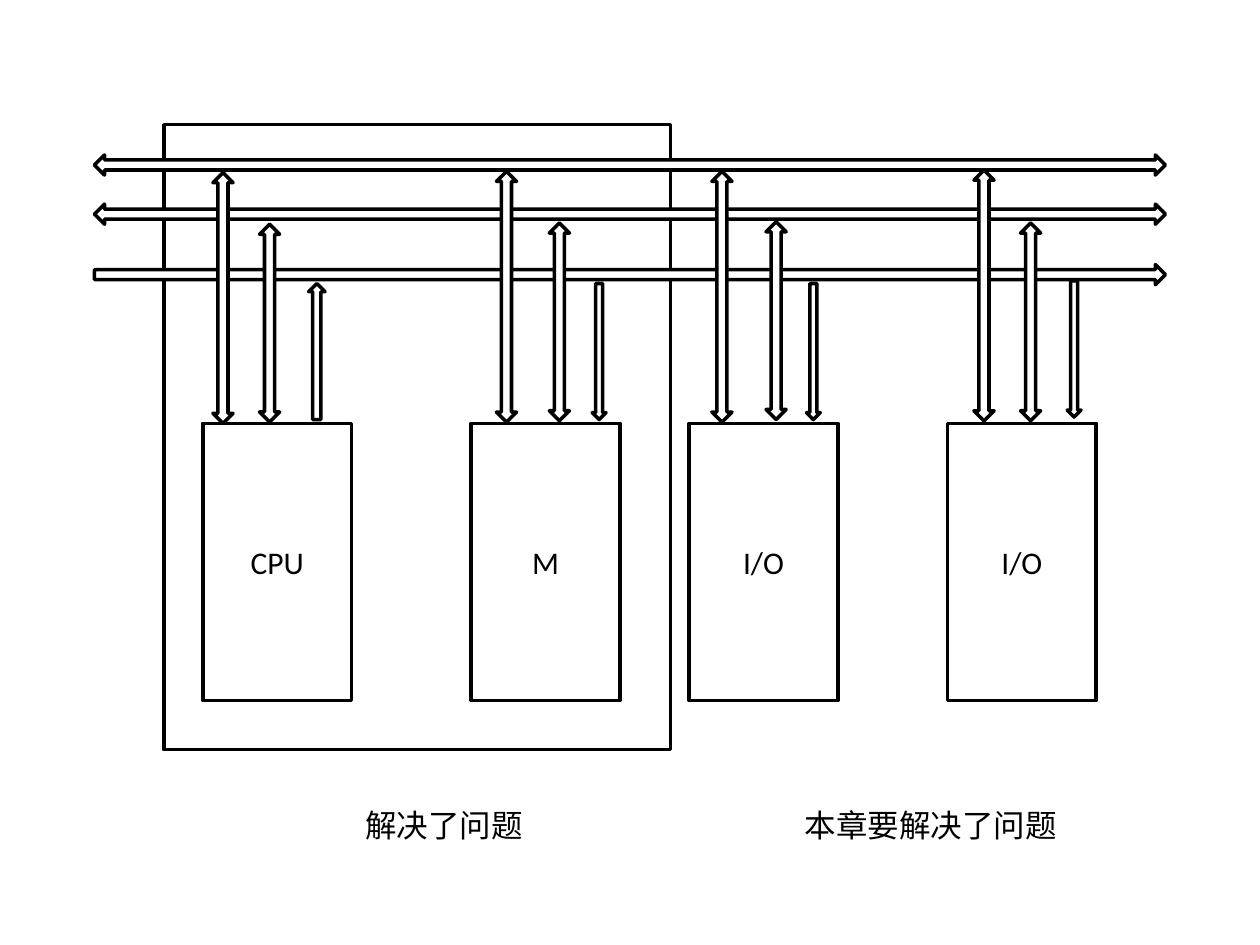
"""Build a slide of a CPU, memory and I/O units linked by three buses."""
from pptx import Presentation
from pptx.dml.color import RGBColor
from pptx.enum.shapes import MSO_SHAPE
from pptx.enum.text import MSO_ANCHOR, MSO_AUTO_SIZE, PP_ALIGN
from pptx.util import Inches, Pt

BLACK = RGBColor(0x00, 0x00, 0x00)
WHITE = RGBColor(0xFF, 0xFF, 0xFF)

BUS_LEFT, BUS_LENGTH, ARROW_WIDTH = 0.75, 8.5, 0.16
UNIT_TOP, UNIT_WIDTH, UNIT_HEIGHT = 3.36, 1.18, 2.2
LONG_LINK, MIDDLE_LINK, SHORT_LINK = 1.99, 1.57, 1.08

BUSES = [
    (MSO_SHAPE.LEFT_RIGHT_ARROW, 1.23),
    (MSO_SHAPE.LEFT_RIGHT_ARROW, 1.62),
    (MSO_SHAPE.RIGHT_ARROW, 2.1),
]
UNITS = [("CPU", 1.61), ("M", 3.74), ("I/O", 5.47), ("I/O", 7.52)]
LONG_LINKS = [(1.69, 1.37), (3.94, 1.36), (5.65, 1.36), (7.73, 1.35)]
MIDDLE_LINKS = [(2.06, 1.78), (8.1, 1.77), (6.08, 1.76), (4.36, 1.77)]
READ_LINKS = [(4.7, 2.25), (6.4, 2.25), (8.47, 2.23)]
CAPTIONS = [("解决了问题", 2.8, 1.45), ("本章要解决了问题", 6.29, 2.2)]


def add_outlined(slide, preset, left, top, width, height):
    """Add a white preset shape with a black outline."""
    outlined = slide.shapes.add_shape(
        preset, Inches(left), Inches(top), Inches(width), Inches(height))
    outlined.shadow.inherit = False
    outlined.fill.solid()
    outlined.fill.fore_color.rgb = WHITE
    outlined.line.color.rgb = BLACK
    outlined.line.width = Pt(2)
    return outlined


def write_text(frame, wording, font_name, alignment):
    """Write one line of black text into a text frame."""
    paragraph = frame.paragraphs[0]
    paragraph.text = wording
    paragraph.alignment = alignment
    paragraph.font.name = font_name
    paragraph.font.size = Pt(18)
    paragraph.font.color.rgb = BLACK


def add_unit(slide, label, left):
    """Add a labelled block for one unit of the computer."""
    unit = add_outlined(slide, MSO_SHAPE.RECTANGLE, left, UNIT_TOP, UNIT_WIDTH, UNIT_HEIGHT)
    unit.text_frame.vertical_anchor = MSO_ANCHOR.MIDDLE
    write_text(unit.text_frame, label, "Calibri", PP_ALIGN.CENTER)


def add_links(slide, preset, places, width, length):
    """Add equal vertical arrows between units and one bus."""
    for left, top in places:
        add_outlined(slide, preset, left, top, width, length)


def add_caption(slide, wording, left, width):
    """Add a caption below the diagram."""
    caption = slide.shapes.add_textbox(Inches(left), Inches(6.35), Inches(width), Inches(0.4))
    caption.text_frame.word_wrap = False
    caption.text_frame.auto_size = MSO_AUTO_SIZE.SHAPE_TO_FIT_TEXT
    write_text(caption.text_frame, wording, "Arial", PP_ALIGN.LEFT)


def main():
    """Build and save the slide."""
    presentation = Presentation()
    presentation.slide_width = Inches(10)
    presentation.slide_height = Inches(7.5)
    slide = presentation.slides.add_slide(presentation.slide_layouts[6])

    add_outlined(slide, MSO_SHAPE.RECTANGLE, 1.3, 0.99, 4.02, 4.96)
    for label, left in UNITS:
        add_unit(slide, label, left)
    for preset, top in BUSES:
        add_outlined(slide, preset, BUS_LEFT, top, BUS_LENGTH, ARROW_WIDTH)

    add_links(slide, MSO_SHAPE.UP_DOWN_ARROW, LONG_LINKS, ARROW_WIDTH, LONG_LINK)
    add_links(slide, MSO_SHAPE.UP_DOWN_ARROW, MIDDLE_LINKS, ARROW_WIDTH, MIDDLE_LINK)
    add_links(slide, MSO_SHAPE.UP_ARROW, [(2.45, 2.25)], 0.13, SHORT_LINK)
    add_links(slide, MSO_SHAPE.DOWN_ARROW, READ_LINKS, 0.11, SHORT_LINK)

    for wording, left, width in CAPTIONS:
        add_caption(slide, wording, left, width)
    presentation.save("out.pptx")


if __name__ == "__main__":
    main()
